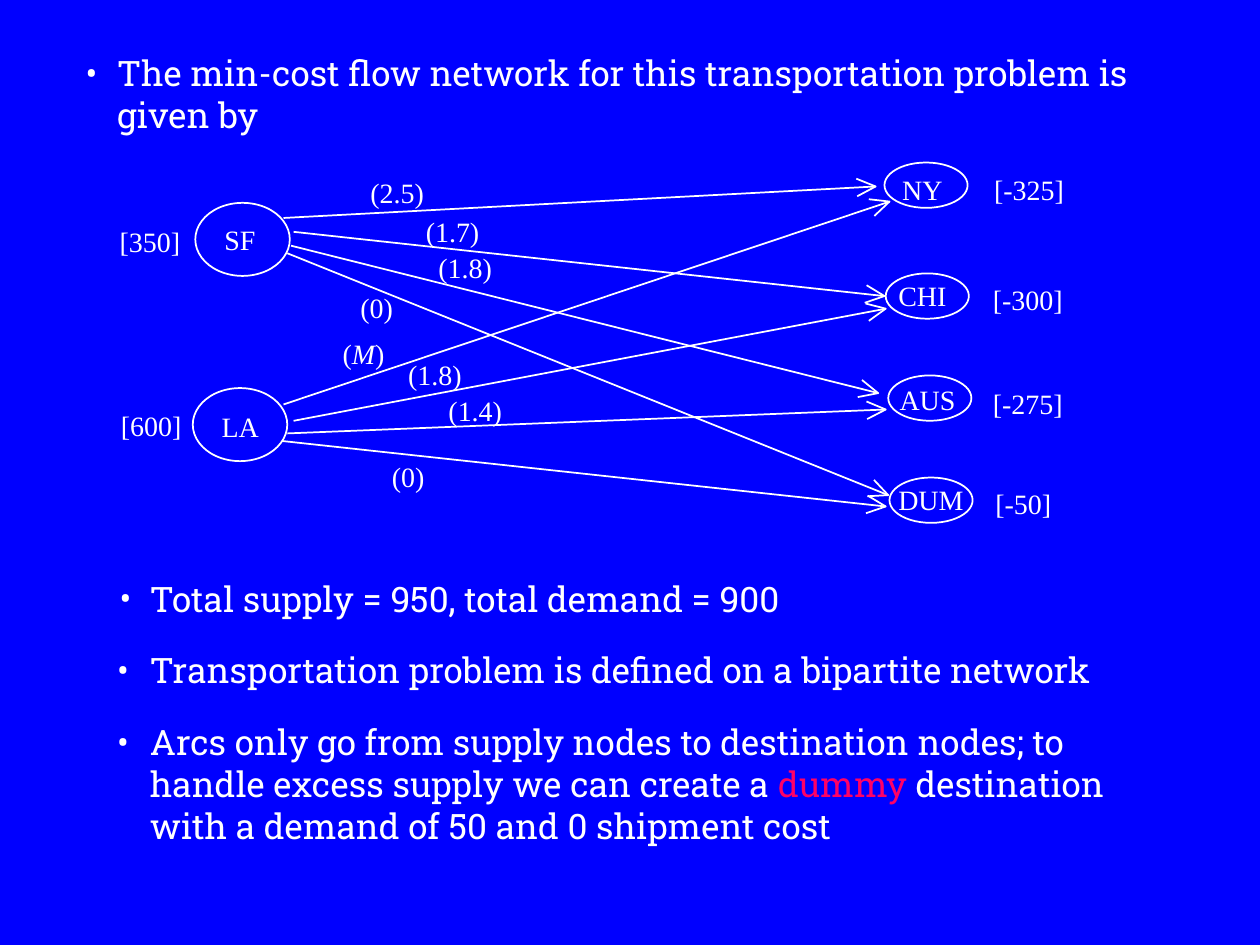
import math

from lxml import etree
from pptx import Presentation
from pptx.dml.color import RGBColor
from pptx.enum.shapes import MSO_CONNECTOR, MSO_SHAPE
from pptx.enum.text import MSO_AUTO_SIZE
from pptx.oxml.ns import qn
from pptx.util import Inches, Pt

ELLIPSE = MSO_SHAPE.OVAL
STRAIGHT = MSO_CONNECTOR.STRAIGHT
GROW = MSO_AUTO_SIZE.SHAPE_TO_FIT_TEXT

BLUE, WHITE, RED = "0000FF", "FFFFFF", "FF0066"
BODY_FONT, LABEL_FONT = "Roboto Slab", "Times New Roman"
LABEL_SLACK = 0.03  # keeps each label on one line


def rgb(value):
    return RGBColor.from_string(value)


def write(paragraph, text, font, size, color=WHITE, italic=False):
    run = paragraph.add_run()
    run.text = text
    run.font.name = font
    run.font.size = Pt(size)
    run.font.color.rgb = rgb(color)
    run.font.italic = italic


class NetworkSlide:
    def __init__(self, slide):
        self.slide = slide
        self.shapes = slide.shapes
        fill = slide.background.fill
        fill.solid()
        fill.fore_color.rgb = rgb(BLUE)

    def outline(self, shape):
        shape.line.color.rgb = rgb(WHITE)
        shape.line.width = Pt(1)

    def text_box(self, left, top, width, height, wrap=False):
        box = self.shapes.add_textbox(*map(Inches, (left, top, width, height)))
        frame = box.text_frame
        frame.margin_left = frame.margin_right = 0
        frame.margin_top = frame.margin_bottom = 0
        frame.word_wrap = wrap
        frame.auto_size = GROW
        return frame.paragraphs[0]

    def bullet(self, left, top, width, height, indent, parts, wrap=False, hang=None):
        paragraph = self.text_box(left, top, width, height, wrap)
        props = paragraph._p.get_or_add_pPr()
        props.set("marL", str(Inches(indent)))
        props.set("indent", str(-Inches(hang or indent)))
        bullet_color = etree.SubElement(props, qn("a:buClr"))
        etree.SubElement(bullet_color, qn("a:srgbClr")).set("val", WHITE)
        etree.SubElement(props, qn("a:buFont")).set("typeface", BODY_FONT)
        etree.SubElement(props, qn("a:buChar")).set("char", "•")
        for text, color in parts:
            write(paragraph, text, BODY_FONT, 20, color)

    def label(self, left, top, width, *parts):
        paragraph = self.text_box(left, top, width + LABEL_SLACK, 0.27)
        for text in parts:
            write(paragraph, text, LABEL_FONT, 16, italic=text == "M")

    def node(self, left, top, width, height):
        oval = self.shapes.add_shape(ELLIPSE, *map(Inches, (left, top, width, height)))
        oval.shadow.inherit = False
        oval.fill.background()
        self.outline(oval)

    def arc(self, x1, y1, x2, y2):
        line = self.shapes.add_connector(STRAIGHT, *map(Inches, (x1, y1, x2, y2)))
        self.outline(line)
        etree.SubElement(line._element.spPr, qn("a:effectLst"))

        # Open arrowhead turned along the arc
        angle = math.atan2(y2 - y1, x2 - x1)
        length, half = 0.15, 0.07

        def barb(side):
            x = x2 - length * math.cos(angle) - side * half * math.sin(angle)
            y = y2 - length * math.sin(angle) + side * half * math.cos(angle)
            return Inches(x), Inches(y)

        builder = self.shapes.build_freeform(*barb(1), scale=1.0)
        builder.add_line_segments([(Inches(x2), Inches(y2)), barb(-1)], close=False)
        head = builder.convert_to_shape()
        head.shadow.inherit = False
        head.fill.background()
        self.outline(head)


def main():
    prs = Presentation()
    prs.slide_width, prs.slide_height = Inches(10), Inches(7.5)
    network = NetworkSlide(prs.slides.add_slide(prs.slide_layouts[6]))

    # Statements above and below the network
    network.bullet(0.68, 0.41, 8.68, 0.67, 0.25, [
        ("The min-cost flow network for this transportation problem is given by", WHITE),
    ], wrap=True)
    network.bullet(0.93, 4.58, 5.82, 0.33, 0.26, [
        ("Total supply = 950, total demand = 900", WHITE),
    ], hang=0.24)
    network.bullet(0.93, 5.15, 8, 0.33, 0.26, [
        ("Transportation problem is defined on a bipartite network", WHITE),
    ])
    network.bullet(0.93, 5.72, 8.39, 1, 0.26, [
        ("Arcs only go from supply nodes to destination nodes; to handle "
         "excess supply we can create a ", WHITE),
        ("dummy", RED),
        (" destination with a demand of 50 and 0 shipment cost", WHITE),
    ], wrap=True)

    # Supply and destination nodes
    for left, top in [(1.55, 1.61), (1.53, 3.08)]:
        network.node(left, top, 0.75, 0.58)
    for left, top in [(7.02, 1.29), (7.03, 2.17), (7.05, 2.98), (7.06, 3.79)]:
        network.node(left, top, 0.66, 0.36)

    # Arcs from SF, then from LA
    for ends in [
        (2.25, 1.73, 6.95, 1.48), (2.33, 1.84, 7.02, 2.35),
        (2.31, 1.95, 6.97, 3.12), (2.28, 2.01, 7.05, 3.93),
        (2.25, 3.21, 7.06, 1.6), (2.33, 3.34, 7.03, 2.45),
        (2.28, 3.44, 7.03, 3.25), (2.24, 3.5, 7.03, 4.02),
    ]:
        network.arc(*ends)

    # Node names
    for name in [
        (1.78, 1.77, 0.25, "SF"), (1.76, 3.25, 0.3, "LA"),
        (7.16, 1.37, 0.32, "NY"), (7.13, 2.21, 0.38, "CHI"),
        (7.14, 3.04, 0.44, "AUS"), (7.13, 3.83, 0.52, "DUM"),
    ]:
        network.label(*name)

    # Supplies and demands
    for amount in [
        (0.95, 1.78, 0.48, "[350]"), (0.96, 3.24, 0.48, "[600]"),
        (7.89, 1.37, 0.55, "[-325]"), (7.88, 2.24, 0.55, "[-300]"),
        (7.88, 3.07, 0.55, "[-275]"), (7.9, 3.86, 0.44, "[-50]"),
    ]:
        network.label(*amount)

    # Arc costs
    for cost in [
        (2.94, 1.39, 0.43, "(2.5)"), (3.38, 1.7, 0.43, "(1.7)"),
        (3.48, 1.99, 0.43, "(1.8)"), (2.86, 2.31, 0.26, "(0)"),
        (2.72, 2.67, 0.33, "(", "M", ")"), (3.24, 2.84, 0.43, "(1.8)"),
        (3.56, 3.12, 0.43, "(1.4)"), (3.11, 3.65, 0.26, "(0)"),
    ]:
        network.label(*cost)

    prs.save("out.pptx")


if __name__ == "__main__":
    main()
